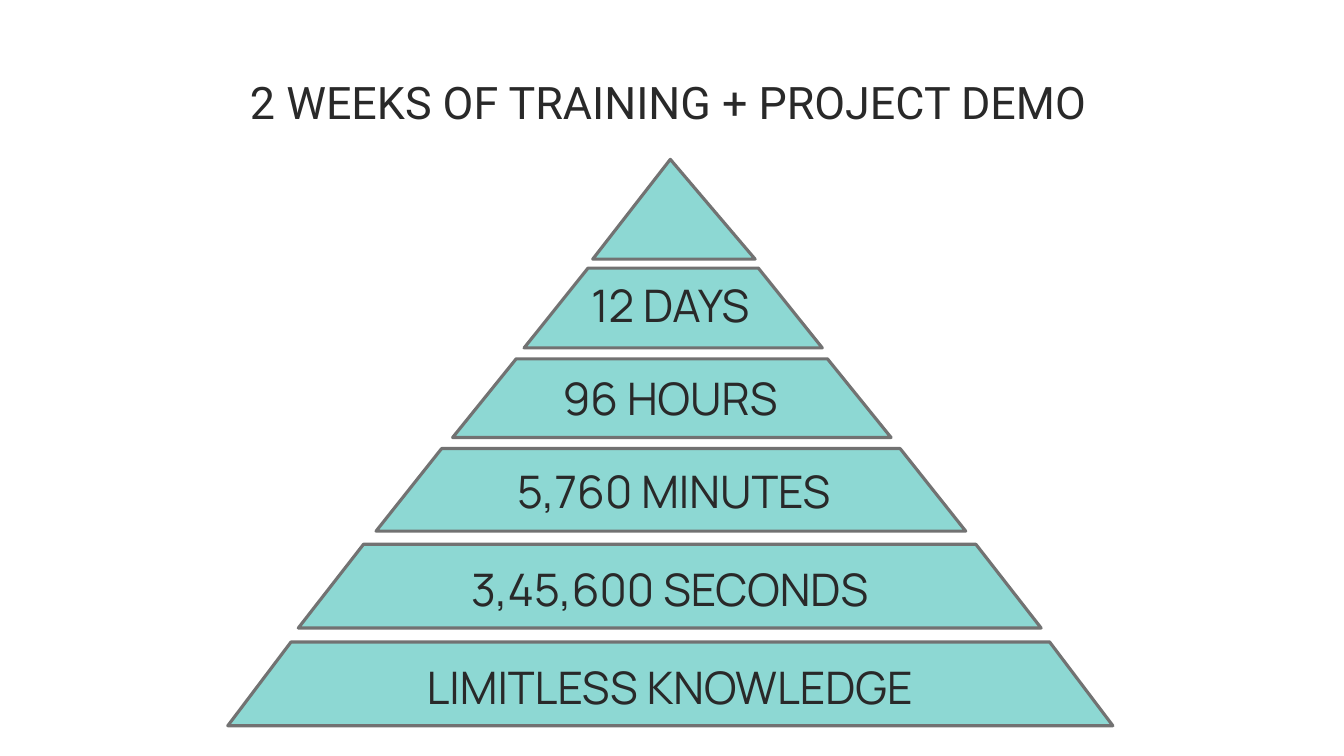
from dataclasses import dataclass

from pptx import Presentation
from pptx.dml.color import RGBColor
from pptx.enum import shapes, text
from pptx.util import Pt


@dataclass(frozen=True)
class Theme:
    fill: RGBColor = RGBColor.from_string("8DD8D3")
    outline: RGBColor = RGBColor.from_string("727272")
    ink: RGBColor = RGBColor.from_string("292929")
    title_font: str = "Roboto"
    label_font: str = "Manrope"
    size: int = 32
    line_width: float = 2.25


theme = Theme()


def add_tier(kind, box, adjustment):
    sp = s.shapes.add_shape(kind, *map(Pt, box))
    sp.adjustments[0] = adjustment
    sp.shadow.inherit = False
    sp.fill.solid()
    sp.fill.fore_color.rgb = theme.fill
    sp.line.color.rgb = theme.outline
    sp.line.width = Pt(theme.line_width)


def add_label(words, box, font, centred):
    """Add centred text; centred also centres it vertically, without insets."""
    tf = s.shapes.add_textbox(*map(Pt, box)).text_frame
    tf.word_wrap = True
    p = tf.paragraphs[0]
    p.text = words
    p.alignment = text.PP_ALIGN.CENTER
    p.font.name = font
    p.font.size = Pt(theme.size)
    p.font.color.rgb = theme.ink
    if centred:
        tf.vertical_anchor = text.MSO_ANCHOR.MIDDLE
        tf.margin_left = tf.margin_right = tf.margin_top = tf.margin_bottom = 0
        p.line_spacing = 1.1
    else:
        tf.auto_size = text.MSO_AUTO_SIZE.SHAPE_TO_FIT_TEXT


prs = Presentation()
prs.slide_width, prs.slide_height = Pt(960), Pt(540)
s = prs.slides.add_slide(prs.slide_layouts[6])

add_label("2 WEEKS OF TRAINING + PROJECT DEMO ", (1.4, 10, 960, 121),
          theme.title_font, True)

add_tier(shapes.MSO_SHAPE.ISOSCELES_TRIANGLE, (423.4, 113.8, 116, 71.3), 0.478)

# Tier box, slant, label, label box, label centred vertically
tiers = [
    ((374.4, 191.5, 213, 57), 0.801, "12 DAYS", (391.7, 195.1, 174.2, 46), False),
    ((323.3, 256.3, 313.2, 56.2), 0.808, "96 HOURS", (372.2, 261.4, 213, 46), False),
    ((268.6, 320.4, 421.2, 59), 0.794, "5,760 MINUTES", (324.7, 327.6, 313.2, 46), False),
    ((213.1, 388.8, 530.6, 59.8), 0.779, "3,45,600 SECONDS", (126, 368.6, 705, 99.4), True),
    ((162.7, 458.6, 632.2, 59.8), 0.755, "LIMITLESS KNOWLEDGE", (126, 438.5, 705, 99.4), True),
]
for tier_box, slant, words, label_box, centred in tiers:
    add_tier(shapes.MSO_SHAPE.TRAPEZOID, tier_box, slant)
    add_label(words, label_box, theme.label_font, centred)

prs.save("out.pptx")
